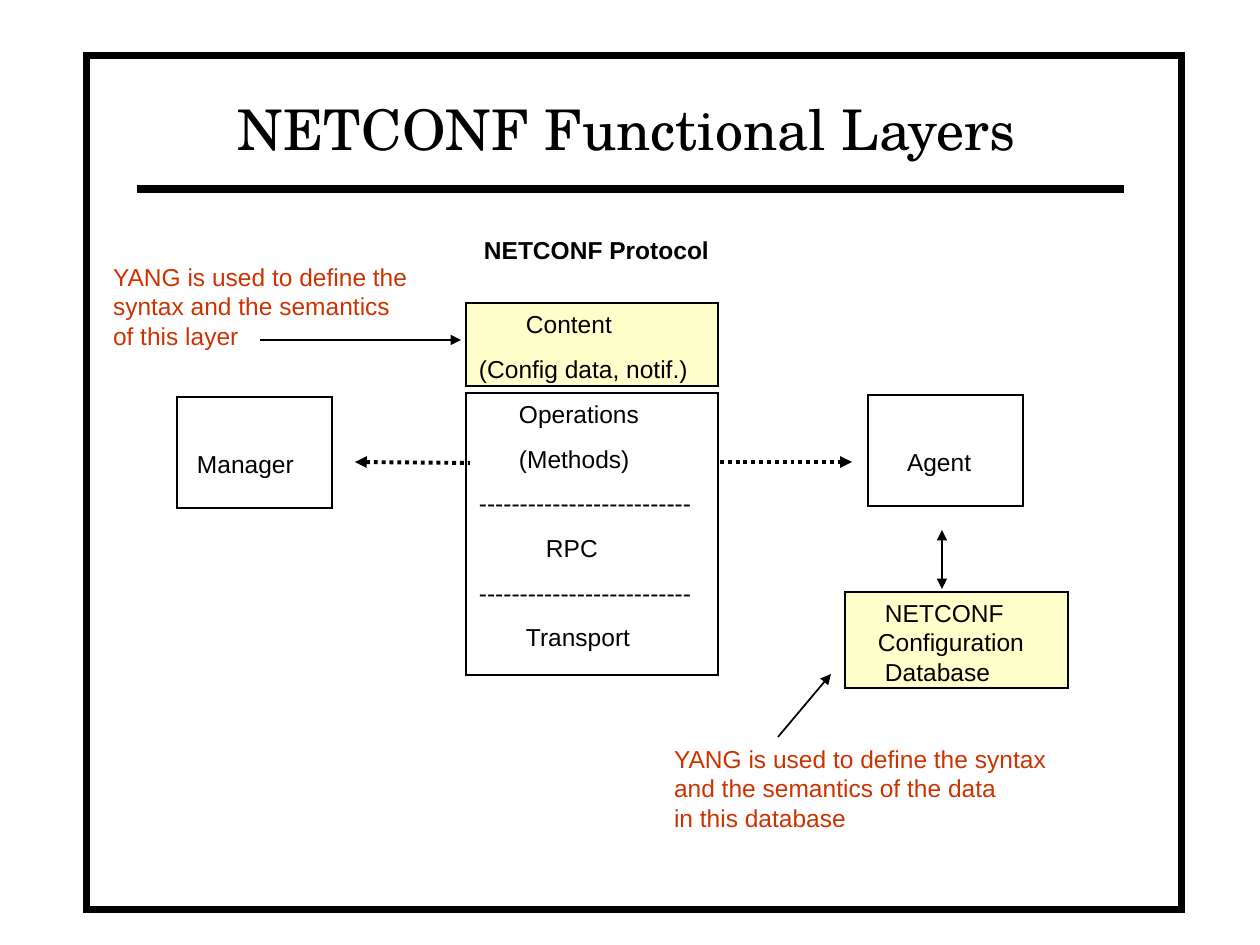
from lxml.etree import SubElement
from pptx import Presentation
from pptx.dml.color import RGBColor
from pptx.enum.dml import MSO_LINE
from pptx.enum.shapes import MSO_CONNECTOR as CONNECTOR, MSO_SHAPE as SHAPE
from pptx.enum.text import MSO_ANCHOR as ANCHOR, PP_ALIGN as ALIGN
from pptx.oxml.ns import qn
from pptx.util import Pt

PX = 914400 / 126
BLACK, WHITE, CREAM, RED = "000000", "FFFFFF", "FFFFCC", "CC3300"
INSET_X, INSET_Y = 13, 6
PARAGRAPH_GAP = 8.7
DASHES = "-" * 26

# Content: places are left, top, width, height in px
TITLE = ("NETCONF Functional Layers", (136, 73, 982, 95))
FRAME = (87, 56, 1095, 854)
RULE = ((137, 189), (1124, 189))

# Boxes: place, fill, top inset, gap between lines, (line, indent)
BOXES = [
    ((177, 397, 155, 111), None, 52, 0, [("Manager", 7)]),
    ((868, 395, 155, 111), None, 52, 0, [("Agent", 26)]),
    ((466, 393, 252, 282), None, INSET_Y, PARAGRAPH_GAP,
     [("Operations", 40), ("(Methods)", 40), (DASHES, 0),
      ("RPC", 67), (DASHES, 0), ("Transport", 47)]),
    ((845, 592, 223, 96), CREAM, INSET_Y, 0,
     [("NETCONF", 27), ("Configuration", 20), ("Database", 27)]),
    ((466, 303, 252, 83), CREAM, INSET_Y, PARAGRAPH_GAP,
     [("Content", 47), ("(Config data, notif.)", 0)]),
]

# Captions: place, colour, bold, lines
CAPTIONS = [
    ((471, 229, 251, 40), BLACK, True, ["NETCONF Protocol"]),
    ((661, 738, 400, 96), RED, False,
     ["YANG is used to define the syntax", "and the semantics of the data",
      "in this database"]),
    ((100, 256, 322, 96), RED, False,
     ["YANG is used to define the", "syntax and the semantics",
      "of this layer"]),
]

# Arrows: from, to, width in points, dash, arrowheads
DOTS = MSO_LINE.ROUND_DOT
ARROWS = [
    ((355, 462), (470, 463), 2.25, DOTS, ["headEnd"]),
    ((720, 462), (852, 462), 2.25, DOTS, ["tailEnd"]),
    ((942, 530), (942, 589), 1, None, ["headEnd", "tailEnd"]),
    ((778, 737), (831, 674), 1, None, ["tailEnd"]),
    ((260, 340), (461, 340), 1, None, ["tailEnd"]),
]


def px(*values):
    return [round(value * PX) for value in values]


def color(value):
    return RGBColor.from_string(value)


def set_values(target, **values):
    for name, value in values.items():
        setattr(target, name, value)


def format_line(line, width):
    line.color.rgb = color(BLACK)
    line.width = Pt(width)


def add_box(place, fill, width):
    box = slide.shapes.add_shape(SHAPE.RECTANGLE, *px(*place))
    box.shadow.inherit = False
    if fill:
        box.fill.solid()
        box.fill.fore_color.rgb = color(fill)
    else:
        box.fill.background()
    format_line(box.line, width)
    # Square corners
    SubElement(box.line._get_or_add_ln(), qn("a:miter"), lim="800000")
    return box


def add_line(start, end, width, dash=None, heads=()):
    connector = slide.shapes.add_connector(CONNECTOR.STRAIGHT,
                                           *px(*start, *end))
    format_line(connector.line, width)
    if dash:
        connector.line.dash_style = dash
    for head in heads:
        SubElement(connector.line._get_or_add_ln(), qn(f"a:{head}"),
                   type="triangle")
    SubElement(connector._element.spPr, qn("a:effectLst"))


def write(shape, lines, text_color=BLACK, size=14, font="Arial", bold=False,
          top=INSET_Y, right=INSET_X, gap=0, align=ALIGN.LEFT,
          anchor=ANCHOR.TOP):
    frame = shape.text_frame
    left, top, right, bottom = px(INSET_X, top, right, INSET_Y)
    set_values(frame, word_wrap=True, vertical_anchor=anchor, margin_left=left,
               margin_top=top, margin_right=right, margin_bottom=bottom)
    for index, (text, indent) in enumerate(lines):
        paragraph = frame.add_paragraph() if index else frame.paragraphs[0]
        set_values(paragraph, text=text, alignment=align,
                   space_before=Pt(gap if index else 0))
        if indent:
            paragraph._p.get_or_add_pPr().set("marL", str(px(indent)[0]))
        set_values(paragraph.font, size=Pt(size), name=font, bold=bold)
        paragraph.font.color.rgb = color(text_color)


presentation = Presentation()
presentation.slide_width, presentation.slide_height = px(1260, 945)
slide = presentation.slides.add_slide(presentation.slide_layouts[5])

# Frame and rule, with the title in front of them
add_box(FRAME, WHITE, 4)
add_line(*RULE, 4.5)
title = slide.shapes.title
title.left, title.top, title.width, title.height = px(*TITLE[1])
write(title, [(TITLE[0], 0)], size=32, font="TeX Gyre Schola",
      align=ALIGN.CENTER, anchor=ANCHOR.BOTTOM)
title._element.getparent().append(title._element)

# Boxes, captions and arrows
for place, fill, top, gap, lines in BOXES:
    write(add_box(place, fill, 1.5), lines, top=top, gap=gap)
for place, text_color, bold, lines in CAPTIONS:
    caption = slide.shapes.add_textbox(*px(*place))
    write(caption, [(line, 0) for line in lines], text_color, bold=bold,
          right=0)
for arrow in ARROWS:
    add_line(*arrow)

presentation.save("out.pptx")
